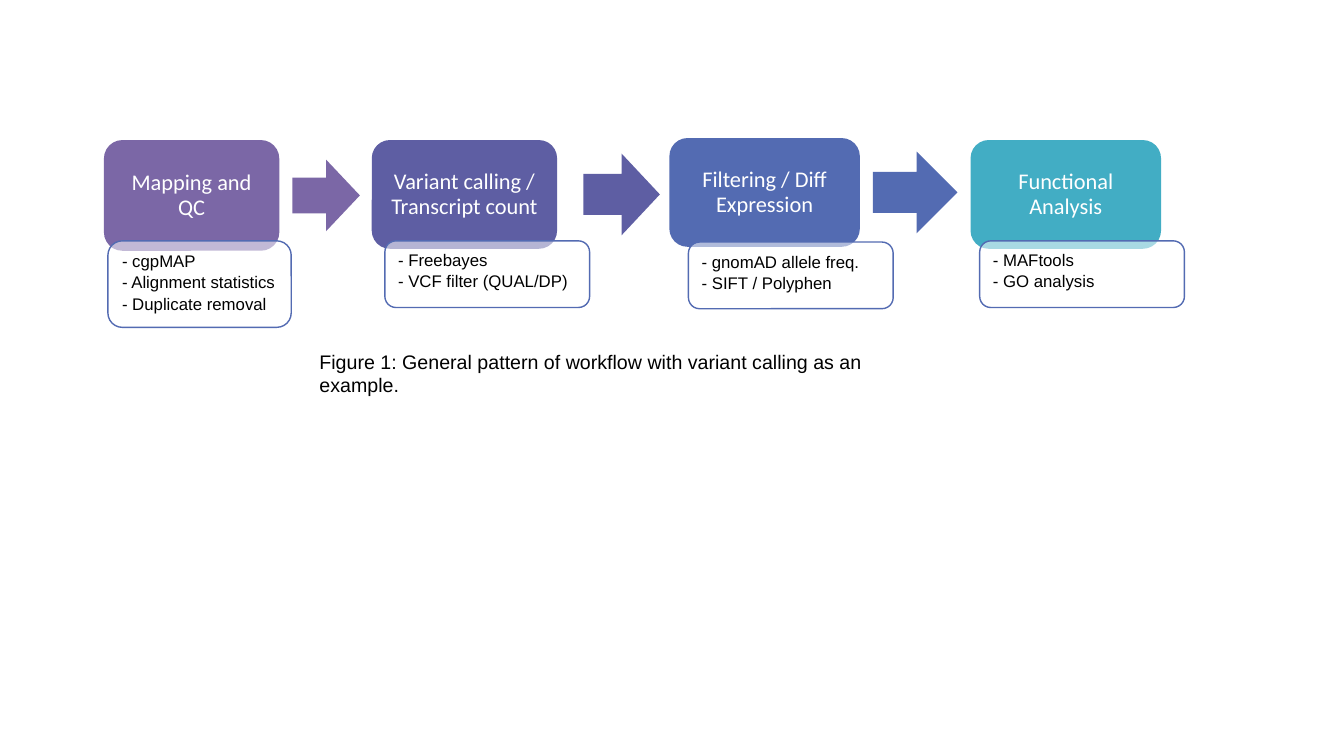
from lxml import etree
from pptx import Presentation
from pptx import util as u
from pptx.dml import color
from pptx.enum import shapes, text
from pptx.oxml import ns

ROUND = shapes.MSO_SHAPE.ROUNDED_RECTANGLE
ARROW = shapes.MSO_SHAPE.RIGHT_ARROW
OUTLINE = "536BB2"


def paint(target, hex_color):
    if hasattr(target, "solid"):
        target.solid()
        target = target.fore_color
    target.rgb = color.RGBColor.from_string(hex_color)


def add_block(s, kind, box, fill):
    sp = s.shapes.add_shape(kind, *map(u.Cm, box))
    sp.shadow.inherit = False
    paint(sp.fill, fill)
    sp.line.fill.background()
    return sp


def write(sp, lines, font, size, hex_color, align, spacing=1.0):
    tf = sp.text_frame
    tf.word_wrap = True
    tf.text = "\n".join(lines)
    for p in tf.paragraphs:
        p.alignment = align
        p.line_spacing = spacing
        for r in p.runs:
            r.font.name = font
            r.font.size = u.Pt(size)
            paint(r.font.color, hex_color)


def add_details(s, box, lines):
    sp = add_block(s, ROUND, box, "FFFFFF")
    clr = sp.fill._xPr.find(".//" + ns.qn("a:srgbClr"))
    etree.SubElement(clr, ns.qn("a:alpha")).set("val", "54000")
    paint(sp.line.fill, OUTLINE)
    sp.line.width = u.Pt(1)
    sp.text_frame.vertical_anchor = text.MSO_ANCHOR.TOP
    write(sp, lines, "Arial", 12, "000000", text.PP_ALIGN.LEFT, 1.05)


def add_stage(s, box, fill, title, details, details_box, arrow):
    left, top, width, height = box
    sp = add_block(s, ROUND, box, fill)
    sp.text_frame.vertical_anchor = text.MSO_ANCHOR.MIDDLE
    write(sp, [title], "Calibri", 16, "FFFFFF", text.PP_ALIGN.CENTER, 0.95)
    if arrow:
        gap, arrow_w, arrow_h = arrow
        arrow_top = top + (height - arrow_h) / 2
        add_block(s, ARROW, (left + width + gap, arrow_top, arrow_w, arrow_h), fill)
    dx, dy, details_w, details_h = details_box
    add_details(s, (left + dx, top + dy, details_w, details_h), details)


def add_caption(s, box, caption):
    sp = s.shapes.add_textbox(*map(u.Cm, box))
    write(sp, [caption], "Arial", 14, "000000", text.PP_ALIGN.LEFT)


STAGES = [
    ((2.62, 3.53, 4.42, 2.79), "7B67A6", "Mapping and QC",
     ["- cgpMAP", "- Alignment statistics", "- Duplicate removal"],
     (0.1, 2.54, 4.62, 2.18), (0.33, 1.7, 1.8)),
    ((9.37, 3.53, 4.67, 2.74), "5E5EA3", "Variant calling / Transcript count",
     ["- Freebayes", "- VCF filter (QUAL/DP)"],
     (0.33, 2.54, 5.16, 1.68), (0.66, 1.93, 2.06)),
    ((16.87, 3.48, 4.8, 2.74), "536BB2", "Filtering / Diff Expression",
     ["- gnomAD allele freq.", "- SIFT / Polyphen"],
     (0.48, 2.62, 5.16, 1.68), (0.33, 2.13, 2.06)),
    ((24.46, 3.53, 4.8, 2.74), "42ADC4", "Functional Analysis",
     ["- MAFtools", "- GO analysis"],
     (0.23, 2.54, 5.16, 1.68), None),
]

prs = Presentation()
prs.slide_width, prs.slide_height = u.Cm(33.87), u.Cm(19.05)
s = prs.slides.add_slide(prs.slide_layouts[6])
for stage in STAGES:
    add_stage(s, *stage)
add_caption(s, (7.8, 8.69, 16, 0.86),
            "Figure 1: General pattern of workflow with variant calling as an example.")
prs.save("out.pptx")
